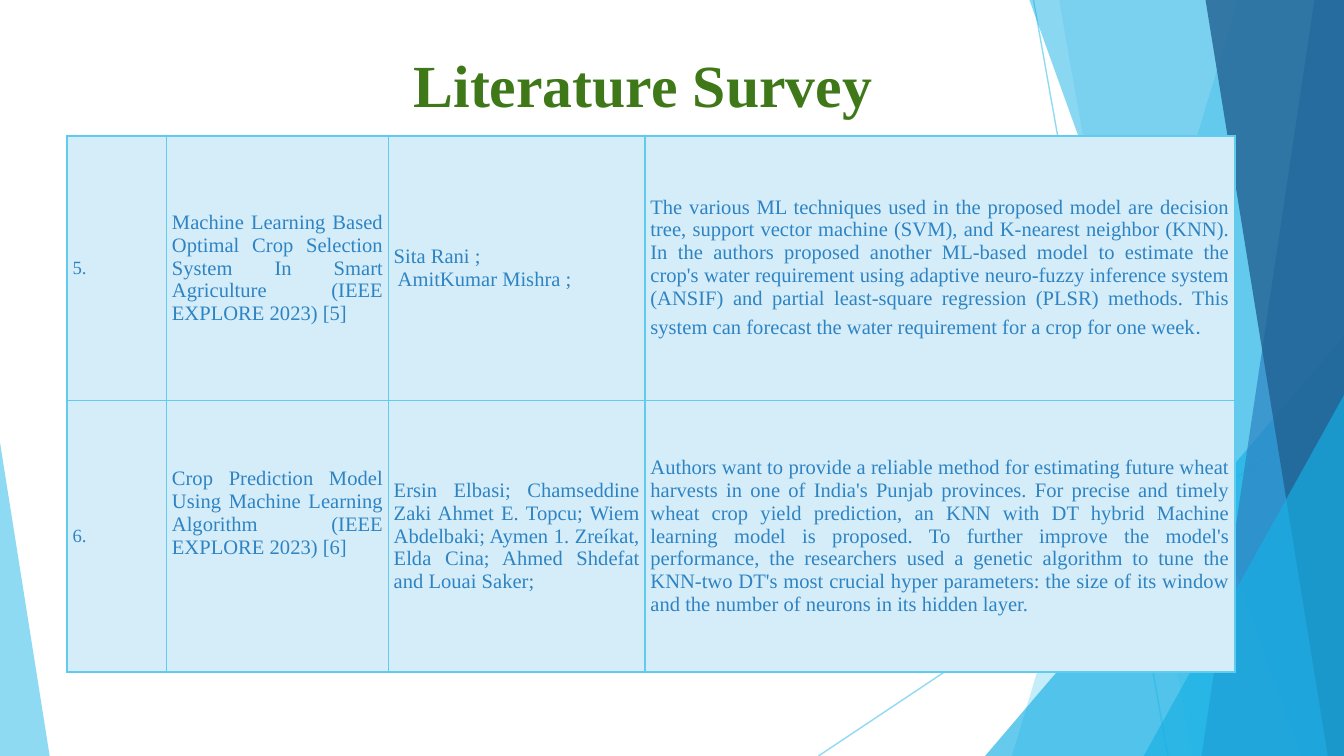
from lxml import etree
from pptx import Presentation
from pptx.dml.color import RGBColor
from pptx.enum.shapes import MSO_CONNECTOR, MSO_SHAPE
from pptx.enum.text import MSO_ANCHOR, PP_ALIGN
from pptx.oxml.ns import qn
from pptx.util import Inches, Pt

STRAIGHT = MSO_CONNECTOR.STRAIGHT
TRIANGLE = MSO_SHAPE.ISOSCELES_TRIANGLE
MIDDLE = MSO_ANCHOR.MIDDLE
JUSTIFY = PP_ALIGN.JUSTIFY

WIDTH = 10
HEIGHT = WIDTH * 9 / 16
SERIF = "Times New Roman"
COLORS = {
    "sky": "5FCBEF",
    "cyan": "17B0E4",
    "blue": "2E83C3",
    "navy": "226292",
    "green": "3F7819",
    "cell": "D4EDF9",
}

TITLE_FORMAT = {"name": SERIF, "size": Pt(32), "bold": True}
NUMBER_FORMAT = {"name": SERIF, "size": Pt(10)}
BODY_FORMAT = {"name": SERIF, "size": Pt(11)}
STOP_FORMAT = {"name": "Cabin", "size": Pt(13.5)}

COLUMN_WIDTHS = [0.74, 1.65, 1.91, 4.39]
ROW_HEIGHTS = [1.97, 2.02]
CELL_MARGINS = {"margin_left": 0.04, "margin_right": 0.04,
                "margin_top": 0.02, "margin_bottom": 0.02}

# Each cell is a list of paragraphs; number, paper, authors, findings
SURVEY = [
    [["5."],
     ["Machine Learning Based Optimal Crop Selection System In Smart "
      "Agriculture (IEEE EXPLORE 2023) [5]"],
     ["Sita Rani ;", " AmitKumar Mishra ;"],
     ["The various ML techniques used in the proposed model are decision "
      "tree, support vector machine (SVM), and K-nearest neighbor (KNN). In "
      "the authors proposed another ML-based model to estimate the crop's "
      "water requirement using adaptive neuro-fuzzy inference system (ANSIF) "
      "and partial least-square regression (PLSR) methods. This system can "
      "forecast the water requirement for a crop for one week"]],
    [["6."],
     ["Crop Prediction Model Using Machine Learning Algorithm (IEEE EXPLORE "
      "2023) [6]"],
     ["Ersin Elbasi; Chamseddine Zaki Ahmet E. Topcu; Wiem Abdelbaki; Aymen "
      "1. Zreíkat, Elda Cina; Ahmed Shdefat and Louai Saker;"],
     ["Authors want to provide a reliable method for estimating future wheat "
      "harvests in one of India's Punjab provinces. For precise and timely "
      "wheat crop yield prediction, an KNN with DT hybrid Machine learning "
      "model is proposed. To further improve the model's performance, the "
      "researchers used a genetic algorithm to tune the KNN-two DT's most "
      "crucial hyper parameters: the size of its window and the number of "
      "neurons in its hidden layer."]],
]


def rgb(color):
    return RGBColor.from_string(COLORS[color])


def set_opacity(element, percent):
    color = element.find(".//" + qn("a:srgbClr"))
    etree.SubElement(color, qn("a:alpha"), val=str(percent * 1000))


def paint(shape, color, opacity):
    shape.shadow.inherit = False
    shape.fill.solid()
    shape.fill.fore_color.rgb = rgb(color)
    set_opacity(shape._element.spPr, opacity)
    shape.line.fill.background()


def add_band(page, top_left, bottom_left, top_right, color, opacity):
    """Full-height band that ends at the right edge of the slide."""
    points = [(top_left, 0), (top_right, 0), (WIDTH, HEIGHT),
              (bottom_left, HEIGHT)]
    corners = [(Inches(x), Inches(y)) for x, y in points]
    builder = page.shapes.build_freeform(*corners[0], scale=1)
    builder.add_line_segments(corners[1:], close=True)
    paint(builder.convert_to_shape(), color, opacity)


def add_triangle(page, left, top, width, apex, color, opacity):
    """Triangle that stands on the bottom edge of the slide."""
    shape = page.shapes.add_shape(TRIANGLE, Inches(left), Inches(top),
                                  Inches(width), Inches(HEIGHT - top))
    shape.adjustments[0] = apex
    paint(shape, color, opacity)


def add_ray(page, *ends):
    ray = page.shapes.add_connector(STRAIGHT, *[Inches(end) for end in ends])
    ray.line.width = Pt(0.75)
    ray.line.color.rgb = rgb("sky")
    properties = ray._element.spPr
    set_opacity(properties, 70)
    etree.SubElement(properties, qn("a:effectLst"))


def add_span(para, text, style, color):
    span = para.add_run()
    span.text = text
    for name, value in style.items():
        setattr(span.font, name, value)
    span.font.color.rgb = rgb(color)


def add_borders(cell):
    properties = cell._tc.get_or_add_tcPr()
    for index, side in enumerate(("lnL", "lnR", "lnT", "lnB")):
        line = etree.Element(qn("a:" + side), w=str(Pt(1)))
        fill = etree.SubElement(line, qn("a:solidFill"))
        etree.SubElement(fill, qn("a:srgbClr"), val=COLORS["sky"])
        properties.insert(index, line)


def fill_cell(cell, paragraphs, style):
    cell.fill.solid()
    cell.fill.fore_color.rgb = rgb("cell")
    add_borders(cell)
    cell.vertical_anchor = MIDDLE
    for name, value in CELL_MARGINS.items():
        setattr(cell, name, Inches(value))
    frame = cell.text_frame
    for index, text in enumerate(paragraphs):
        para = frame.add_paragraph() if index else frame.paragraphs[0]
        para.alignment = JUSTIFY
        add_span(para, text, style, "blue")


def add_survey(page):
    frame = page.shapes.add_table(
        len(SURVEY), len(COLUMN_WIDTHS), Inches(0.5), Inches(1.01),
        Inches(sum(COLUMN_WIDTHS)), Inches(sum(ROW_HEIGHTS)))
    table = frame.table
    table.first_row = table.horz_banding = False
    for column, width in zip(table.columns, COLUMN_WIDTHS):
        column.width = Inches(width)
    for row, height, entries in zip(table.rows, ROW_HEIGHTS, SURVEY):
        row.height = Inches(height)
        for index, (cell, entry) in enumerate(zip(row.cells, entries)):
            fill_cell(cell, entry, BODY_FORMAT if index else NUMBER_FORMAT)
    # The first finding ends in a larger full stop
    add_span(table.cell(0, 3).text_frame.paragraphs[0], ".", STOP_FORMAT, "blue")
    # The second paper sits above the middle of its cell
    table.cell(1, 1).margin_bottom = Inches(0.36)


def add_title(page):
    box = page.shapes.add_textbox(Inches(2.98), Inches(0.31),
                                  Inches(5.01), Inches(0.64))
    box.text_frame.word_wrap = True
    add_span(box.text_frame.paragraphs[0], "Literature Survey",
             TITLE_FORMAT, "green")


def add_backdrop(page):
    add_ray(page, 7.69, 0, 8.69, HEIGHT)
    add_ray(page, WIDTH, 3.02, 6.09, HEIGHT)
    add_band(page, 9.21, 7.53, WIDTH, "sky", 36)
    add_band(page, 7.88, 8.87, WIDTH, "sky", 20)
    add_triangle(page, 7.33, 2.5, 2.67, 1, "cyan", 66)
    add_band(page, 7.66, 9.68, WIDTH, "cyan", 50)
    add_band(page, 9.78, 8.94, WIDTH, "blue", 70)
    add_band(page, 8.97, 9.88, WIDTH, "navy", 80)
    add_triangle(page, 8.51, 2.94, 1.49, 1, "cyan", 66)
    add_triangle(page, 0, 3.29, 0.37, 0, "sky", 70)


def main():
    deck = Presentation()
    deck.slide_width, deck.slide_height = Inches(WIDTH), Inches(HEIGHT)
    page = deck.slides.add_slide(deck.slide_layouts[6])
    add_backdrop(page)
    add_survey(page)
    add_title(page)
    deck.save("out.pptx")


if __name__ == "__main__":
    main()
